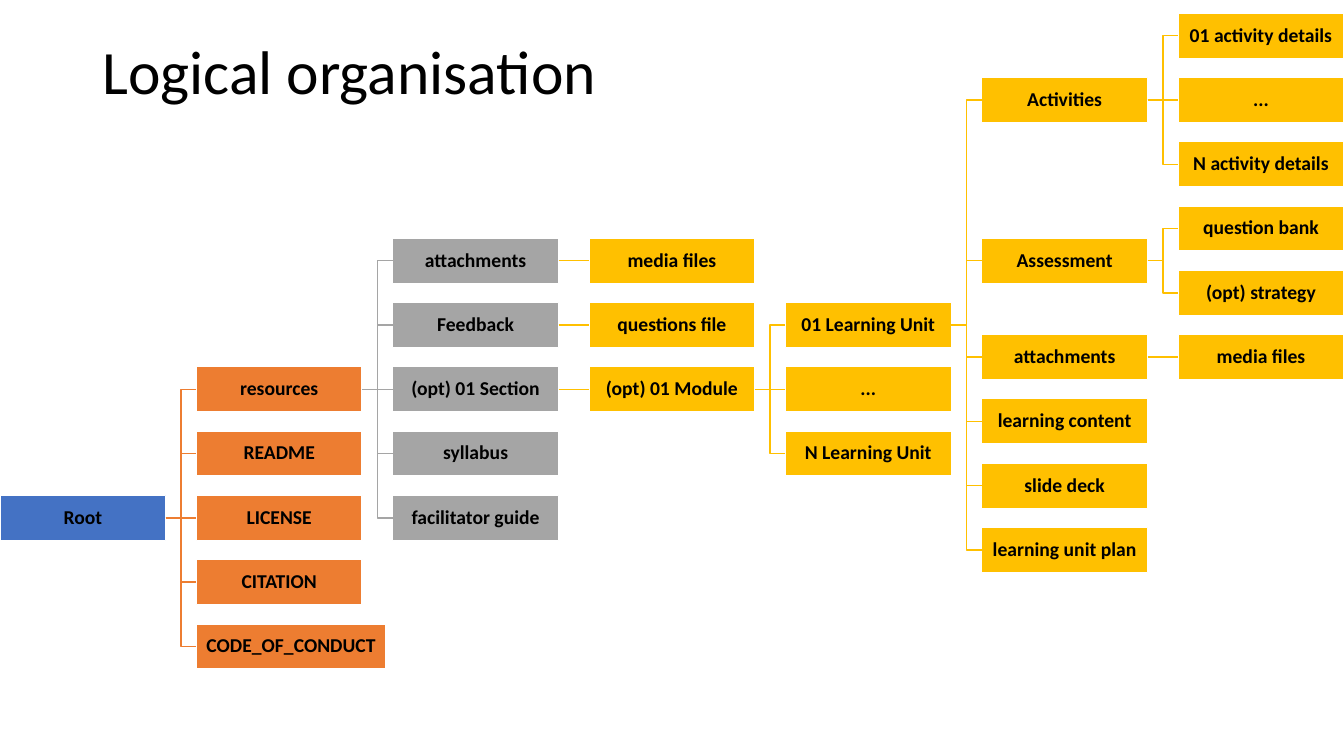
from dataclasses import dataclass

import pptx
import pptx.dml.color
import pptx.enum.shapes
import pptx.enum.text
import pptx.oxml.ns
import pptx.util
from lxml import etree

Cm = pptx.util.Cm
Pt = pptx.util.Pt


@dataclass(frozen=True)
class Theme:
    font: str = "Calibri"
    text: str = "000000"
    outline: str = "FFFFFF"
    levels: tuple = ("4472C4", "ED7D31", "A5A5A5", "FFC000")
    title_size: int = 44
    box_size: int = 14
    line_width: int = 1


THEME = Theme()

# Lengths in centimetres
SLIDE_W, SLIDE_H = 33.87, 19.05
BOX_W, BOX_H = 4.18, 1.14
WIDE_BOXES = {"CODE_OF_CONDUCT": 4.78}
COLUMN_STEP = (SLIDE_W - BOX_W) / 6
ROW_TOP, ROW_STEP = 0.33, 1.62
INSET = 0.02
RIGHT_SITE, LEFT_SITE = 3, 1

# A branch maps names to children; a leaf holds its row on the grid.
LEARNING_UNIT = {
    "Activities": {"01 activity details": 0, "...": 1, "N activity details": 2},
    "Assessment": {"question bank": 3, "(opt) strategy": 4},
    "attachments": {"media files": 5},
    "learning content": 6,
    "slide deck": 7,
    "learning unit plan": 8,
}
MODULE = {"01 Learning Unit": LEARNING_UNIT, "...": 5.5, "N Learning Unit": 6.5}
RESOURCES = {
    "attachments": {"media files": 3.5},
    "Feedback": {"questions file": 4.5},
    "(opt) 01 Section": {"(opt) 01 Module": MODULE},
    "syllabus": 6.5,
    "facilitator guide": 7.5,
}
ROOT = {
    "resources": RESOURCES,
    "README": 6.5,
    "LICENSE": 7.5,
    "CITATION": 8.5,
    "CODE_OF_CONDUCT": 9.5,
}


def rgb(value):
    return pptx.dml.color.RGBColor.from_string(value)


def level_colour(level):
    return rgb(THEME.levels[min(level, len(THEME.levels) - 1)])


def row_of(node):
    """Return a leaf's row, or the middle of a branch's first and last child."""
    if not isinstance(node, dict):
        return node
    rows = [row_of(child) for child in node.values()]
    return (rows[0] + rows[-1]) / 2


def set_text(sp, text, size, bold=False):
    tf = sp.text_frame
    tf.word_wrap = True
    tf.vertical_anchor = pptx.enum.text.MSO_ANCHOR.MIDDLE
    p = tf.paragraphs[0]
    p.text = text
    p.line_spacing = 0.9
    p.font.name = THEME.font
    p.font.size = Pt(size)
    p.font.bold = bold
    p.font.color.rgb = rgb(THEME.text)
    return tf


def add_title(s, text):
    sp = s.shapes.add_textbox(Cm(2.33), Cm(0.05), Cm(29.21), Cm(3.68))
    set_text(sp, text, THEME.title_size)


def add_box(s, text, level, row):
    sp = s.shapes.add_shape(
        pptx.enum.shapes.MSO_SHAPE.RECTANGLE,
        Cm(level * COLUMN_STEP), Cm(ROW_TOP + row * ROW_STEP),
        Cm(WIDE_BOXES.get(text, BOX_W)), Cm(BOX_H))
    sp.shadow.inherit = False
    sp.fill.solid()
    sp.fill.fore_color.rgb = level_colour(level)
    sp.line.color.rgb = rgb(THEME.outline)
    sp.line.width = Pt(THEME.line_width)
    tf = set_text(sp, text, THEME.box_size, bold=True)
    tf.margin_left = tf.margin_right = tf.margin_top = tf.margin_bottom = Cm(INSET)
    tf.paragraphs[0].alignment = pptx.enum.text.PP_ALIGN.CENTER
    return sp


def add_link(s, parent, child, level):
    kinds = pptx.enum.shapes.MSO_CONNECTOR
    kind = kinds.STRAIGHT if parent.top == child.top else kinds.ELBOW
    link = s.shapes.add_connector(kind, 0, 0, 0, 0)
    link.begin_connect(parent, RIGHT_SITE)
    link.end_connect(child, LEFT_SITE)
    link.line.color.rgb = level_colour(level)
    link.line.width = Pt(THEME.line_width)
    etree.SubElement(link._element.spPr, pptx.oxml.ns.qn("a:effectLst"))


def add_tree(s, name, node, level=0):
    """Draw a node with everything below it and return the node's box."""
    box = add_box(s, name, level, row_of(node))
    if isinstance(node, dict):
        for child_name, child in node.items():
            child_box = add_tree(s, child_name, child, level + 1)
            add_link(s, box, child_box, level + 1)
    return box


def main():
    prs = pptx.Presentation()
    prs.slide_width, prs.slide_height = Cm(SLIDE_W), Cm(SLIDE_H)
    s = prs.slides.add_slide(prs.slide_layouts[6])
    add_title(s, "Logical organisation")
    add_tree(s, "Root", ROOT)
    prs.save("out.pptx")


if __name__ == "__main__":
    main()
